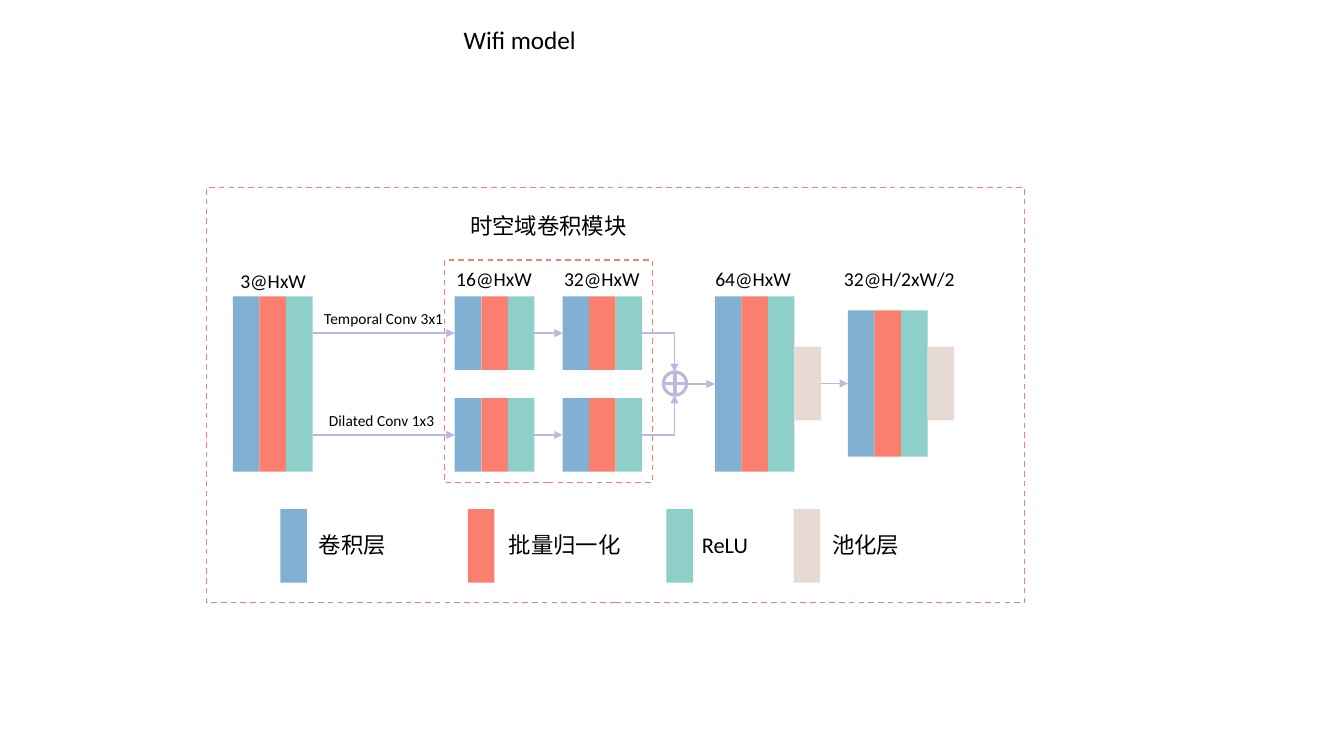
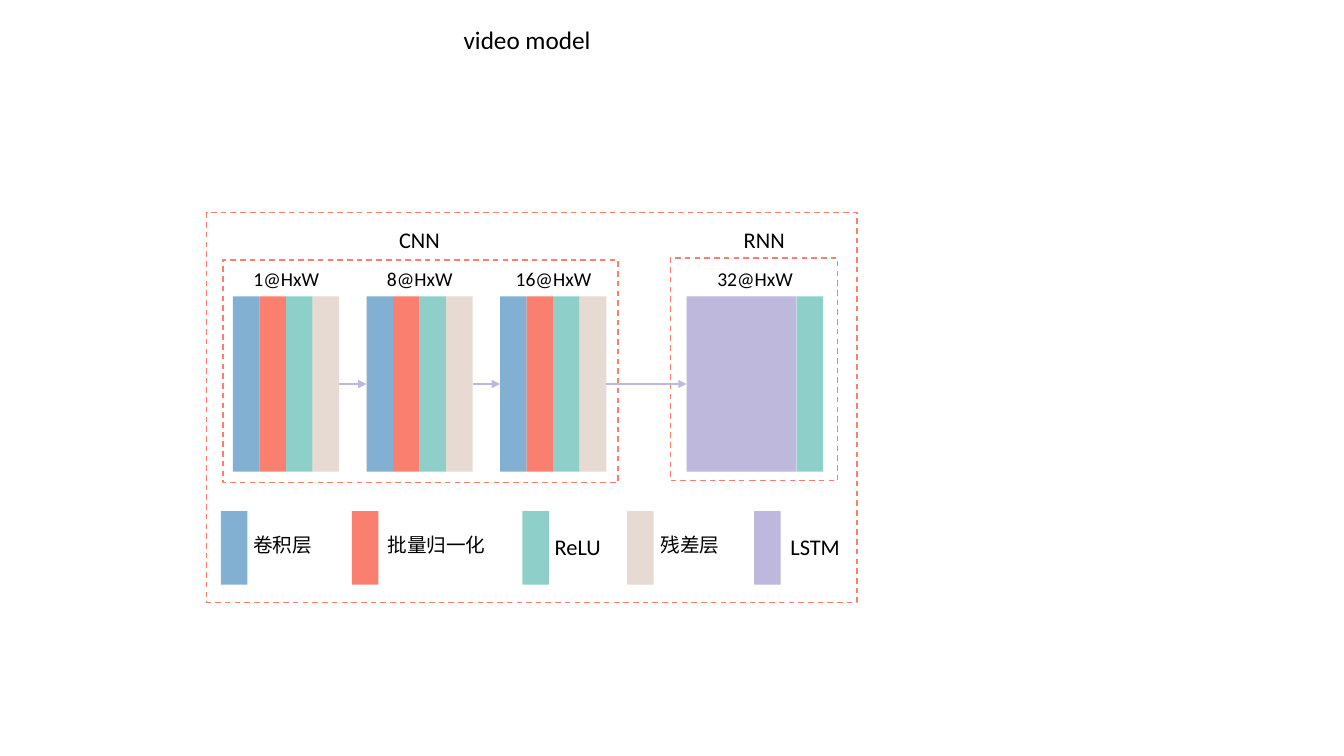
from lxml import etree
from pptx import Presentation
from pptx import util as u
from pptx.dml.color import RGBColor
from pptx.enum import dml, shapes, text
from pptx.oxml import ns

CONV, NORM, RELU, POOL, FLOW = "82B0D2", "FA7F6F", "8ECFC9", "E7DAD2", "BEB8DC"
FRAME, INK = NORM, "000000"
LAYERS = [CONV, NORM, RELU]
BAR = 0.79 / 3
TALL, SHORT = 1.74, 0.73


def color(value):
    return RGBColor.from_string(value)


class Diagram:
    """Holds the deck style and the slide being drawn."""

    font = "Calibri"

    def __init__(self):
        self.deck = Presentation()
        self.deck.slide_width = u.Inches(13.33)
        self.deck.slide_height = u.Inches(7.5)
        self.slide = None

    def new_slide(self, title):
        self.slide = self.deck.slides.add_slide(self.deck.slide_layouts[6])
        self.label(title, 4.5, 0.19, 1.79, 18, text.PP_ALIGN.LEFT)

    def label(self, words, left, top, width, size=14, align=text.PP_ALIGN.CENTER):
        height = size * 1.2 / 72 + 0.1
        box = self.slide.shapes.add_textbox(*map(u.Inches, (left, top, width, height)))
        frame = box.text_frame
        frame.word_wrap = True
        frame.auto_size = text.MSO_AUTO_SIZE.SHAPE_TO_FIT_TEXT
        paragraph = frame.paragraphs[0]
        paragraph.alignment = align
        run = paragraph.add_run()
        run.text = words
        run.font.name = self.font
        run.font.size = u.Pt(size)
        run.font.color.rgb = color(INK)

    def bar(self, left, top, height, fill, width=BAR):
        block = self.slide.shapes.add_shape(
            shapes.MSO_SHAPE.RECTANGLE, *map(u.Inches, (left, top, width, height)))
        block.shadow.inherit = False
        block.fill.solid()
        block.fill.fore_color.rgb = color(fill)
        block.line.fill.background()
        return block

    def stack(self, left, top, height, fills):
        return [self.bar(left + i * BAR, top, height, fill) for i, fill in enumerate(fills)]

    def outline(self, preset, left, top, width, height, line, weight):
        shape = self.slide.shapes.add_shape(
            preset, *map(u.Inches, (left, top, width, height)))
        shape.shadow.inherit = False
        shape.fill.background()
        shape.line.color.rgb = color(line)
        shape.line.width = u.Pt(weight)
        return shape

    def frame(self, left, top, width, height):
        border = self.outline(
            shapes.MSO_SHAPE.RECTANGLE, left, top, width, height, FRAME, 1)
        border.line.dash_style = dml.MSO_LINE.DASH

    def sum_node(self, left, top, size):
        self.outline(shapes.MSO_SHAPE.FLOWCHART_OR, left, top, size, size, FLOW, 2.25)

    def link(self, start, end, arrow=True):
        points = [p if isinstance(p, tuple) else (0, 0) for p in (start, end)]
        line = self.slide.shapes.add_connector(
            shapes.MSO_CONNECTOR.STRAIGHT, *(u.Inches(n) for p in points for n in p))
        if not isinstance(start, tuple):
            line.begin_connect(start, 3)
        if not isinstance(end, tuple):
            line.end_connect(end, 1)
        line.line.color.rgb = color(FLOW)
        line.line.width = u.Pt(1)
        if arrow:
            etree.SubElement(line.line._get_or_add_ln(), ns.qn("a:tailEnd"), type="triangle")
        etree.SubElement(line._element.spPr, ns.qn("a:effectLst"))

    def legend(self, top, entries):
        for left, fill, words, label_left, width, size in entries:
            self.bar(left, top, SHORT, fill)
            self.label(words, label_left, top + 0.17, width, size)


def wifi_slide(d):
    d.new_slide("Wifi model")
    d.frame(2.05, 1.86, 8.11, 4.12)
    d.frame(4.41, 2.58, 2.06, 2.21)
    d.label("时空域卷积模块", 3.68, 2.06, 3.52, 16)
    for words, left, top, width in [
        ("3@HxW", 2.18, 2.62, 1.06),
        ("16@HxW", 4.37, 2.6, 1.06),
        ("32@HxW", 5.44, 2.6, 1.06),
        ("64@HxW", 6.94, 2.6, 1.06),
        ("32@H/2xW/2", 8.19, 2.6, 1.46),
    ]:
        d.label(words, left, top, width)

    d.stack(2.31, 2.94, TALL, LAYERS)
    d.sum_node(6.58, 3.69, 0.23)
    branches = [
        ("Temporal Conv 3x1", 3.1, 2.94, 3.69),
        ("Dilated Conv 1x3", 3.08, 3.95, 3.92),
    ]
    for words, label_left, top, node_edge in branches:
        middle = top + SHORT / 2
        first = d.stack(4.51, top, SHORT, LAYERS)
        second = d.stack(5.58, top, SHORT, LAYERS)
        d.label(words, label_left, top + 0.08, 1.41, 11)
        d.link((3.1, middle), first[0])
        d.link(first[-1], second[0])
        d.link(second[-1], (6.69, middle), arrow=False)
        d.link((6.69, middle), (6.69, node_edge))

    merged = d.stack(7.09, 2.94, TALL, LAYERS)
    merged_pool = d.bar(7.88, 3.44, SHORT, POOL)
    output = d.stack(8.41, 3.08, 1.45, LAYERS)
    d.bar(9.2, 3.44, SHORT, POOL)
    d.link((6.81, 3.81), merged[0])
    d.link(merged_pool, output[0])

    d.legend(5.05, [
        (2.78, CONV, "卷积层", 2.83, 1.33, 16),
        (4.64, NORM, "批量归一化", 4.71, 1.78, 16),
        (6.61, RELU, "ReLU", 6.78, 0.82, 16),
        (7.87, POOL, "池化层", 7.92, 1.33, 16),
    ])


def video_slide(d):
    d.new_slide("video model")
    d.frame(2.05, 2.11, 6.45, 3.87)
    d.frame(2.21, 2.58, 3.92, 2.21)
    d.frame(6.65, 2.56, 1.66, 2.21)
    d.label("CNN", 2.4, 2.19, 3.52, 16)
    d.label("RNN", 7.06, 2.19, 1.04, 16)

    lstm = d.bar(6.81, 2.94, TALL, FLOW, 1.09)
    d.bar(7.9, 2.94, TALL, RELU)
    d.label("32@HxW", 6.96, 2.6, 1.06)

    stages = []
    for i, words in enumerate(["1@HxW", "8@HxW", "16@HxW"]):
        left = 2.31 + i * 1.325
        stages.append(d.stack(left, 2.94, TALL, LAYERS + [POOL]))
        d.label(words, left, 2.6, 1.06)
    targets = [stage[0] for stage in stages[1:]] + [lstm]
    for stage, target in zip(stages, targets):
        d.link(stage[-1], target)

    d.legend(5.07, [
        (2.19, CONV, "卷积层", 2.14, 1.33, 14),
        (3.49, NORM, "批量归一化", 3.44, 1.78, 14),
        (5.18, RELU, "ReLU", 5.32, 0.82, 16),
        (6.22, POOL, "残差层", 6.37, 0.95, 14),
        (7.48, FLOW, "LSTM", 7.61, 0.95, 16),
    ])


def main():
    diagram = Diagram()
    wifi_slide(diagram)
    video_slide(diagram)
    diagram.deck.save("out.pptx")


if __name__ == "__main__":
    main()
